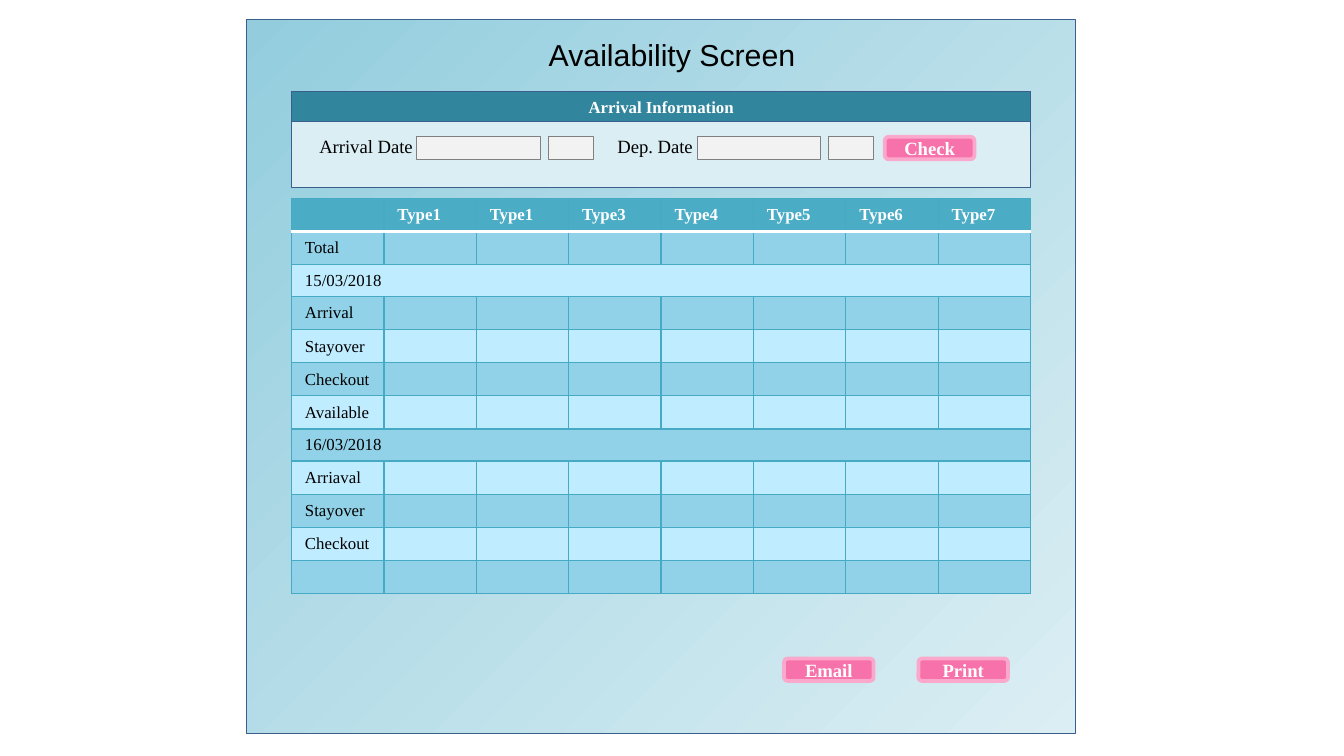
from dataclasses import dataclass

from lxml.etree import SubElement
from pptx import Presentation
from pptx.dml.color import RGBColor
from pptx.enum.shapes import MSO_SHAPE as Shape
from pptx.enum.text import MSO_ANCHOR as Anchor, PP_ALIGN as Align
from pptx.oxml.ns import qn
from pptx.util import Pt


@dataclass(frozen=True)
class Theme:
    black: str = "000000"
    white: str = "FFFFFF"
    outline: str = "3A5F8C"
    panel_start: str = "93CDDD"
    panel_end: str = "DBEEF4"
    heading: str = "31859C"
    field: str = "F2F2F2"
    field_line: str = "808080"
    button: str = "F771AA"
    button_line: str = "FAA8CB"
    table_header: str = "4BACC6"
    table_line: str = "46AAC5"
    dark_row: str = "91D2E8"
    light_row: str = "BFECFF"
    title_font: str = "Arial"
    body_font: str = "Times New Roman"
    title_size: float = 16.2
    body_size: float = 10
    table_size: float = 9


theme = Theme()


def write(frame, text, size=theme.body_size, color=theme.black, bold=False,
          font=theme.body_font, align=Align.CENTER, anchor=Anchor.MIDDLE,
          margins=(0, 0)):
    frame.word_wrap = True
    frame.vertical_anchor = anchor
    frame.margin_left = frame.margin_right = Pt(margins[0])
    frame.margin_top = frame.margin_bottom = Pt(margins[1])
    paragraph = frame.paragraphs[0]
    paragraph.alignment = align
    run = paragraph.add_run()
    run.text = text
    run.font.name = font
    run.font.size = Pt(size)
    run.font.bold = bold
    run.font.color.rgb = RGBColor.from_string(color)


def add_box(left, top, width, height, fill, line, line_width=0.5,
            kind=Shape.RECTANGLE):
    shape = slide.shapes.add_shape(kind, Pt(left), Pt(top), Pt(width), Pt(height))
    shape.shadow.inherit = False
    shape.fill.solid()
    shape.fill.fore_color.rgb = RGBColor.from_string(fill)
    shape.line.color.rgb = RGBColor.from_string(line)
    shape.line.width = Pt(line_width)
    return shape


presentation = Presentation()
presentation.slide_width = Pt(720)
presentation.slide_height = Pt(405)
slide = presentation.slides.add_slide(presentation.slide_layouts[5])

# Title
title = slide.shapes.title
title.left, title.top, title.width, title.height = Pt(36), Pt(16.8), Pt(648), Pt(24.5)
write(title.text_frame, "Availability Screen", size=theme.title_size,
      font=theme.title_font)

# Background panel, placed behind the title
panel = add_box(132, 10.6, 444, 382.4, theme.panel_start, theme.outline)
panel.fill.gradient()
panel.fill.gradient_angle = 315
for stop, color in zip(panel.fill.gradient_stops, (theme.panel_start, theme.panel_end)):
    stop.color.rgb = RGBColor.from_string(color)
title._element.addprevious(panel._element)

# Availability table
types = ["Type1", "Type1", "Type3", "Type4", "Type5", "Type6", "Type7"]
row_labels = ["Total", "15/03/2018", "Arrival", "Stayover", "Checkout", "Available",
              "16/03/2018", "Arriaval", "Stayover", "Checkout", ""]
rows = [[""] + types] + [[label] + [""] * len(types) for label in row_labels]
content_left, content_width, row_height = 156.2, 396, 17.23
table_frame = slide.shapes.add_table(
    len(rows), len(rows[0]), Pt(content_left), Pt(106.3),
    Pt(content_width), Pt(row_height * len(rows)))
table = table_frame.table
for column in table.columns:
    column.width = Pt(content_width / len(rows[0]))

for row_index, texts in enumerate(rows):
    table.rows[row_index].height = Pt(row_height)
    is_header = row_index == 0
    row_fill = (theme.table_header if is_header
                else theme.dark_row if row_index % 2 else theme.light_row)
    for column_index, text in enumerate(texts):
        cell = table.cell(row_index, column_index)
        cell.margin_top = cell.margin_bottom = Pt(3.4)
        cell.vertical_anchor = Anchor.MIDDLE
        properties = cell._tc.get_or_add_tcPr()
        for side in "LRTB":
            under_header = (side, row_index) in (("B", 0), ("T", 1))
            color, width = ((theme.white, 2) if under_header
                            else (theme.table_line, 0.75))
            border = SubElement(properties, qn(f"a:ln{side}"), w=str(Pt(width)))
            SubElement(SubElement(border, qn("a:solidFill")), qn("a:srgbClr"), val=color)
        cell.fill.solid()
        cell.fill.fore_color.rgb = RGBColor.from_string(row_fill)
        if text:
            write(cell.text_frame, text, size=theme.table_size, bold=is_header,
                  color=theme.white if is_header else theme.black,
                  align=Align.LEFT, margins=(7.2, 3.4))
        else:
            # Empty cells keep the row's type size
            paragraph = cell.text_frame.paragraphs[0]
            SubElement(paragraph._p, qn("a:endParaRPr"), sz=str(theme.table_size * 100))
    if "/" in texts[0]:
        table.cell(row_index, 0).merge(table.cell(row_index, len(types)))

# Arrival information box
add_box(content_left, 49.2, content_width, 51.2, theme.panel_end, theme.outline)
heading = add_box(content_left, 49.2, content_width, 16, theme.heading, theme.outline)
write(heading.text_frame, "Arrival Information", size=theme.table_size,
      color=theme.white, bold=True)

# Date labels, each with a wide and a narrow field
for label, label_left, field_left in [("Arrival Date", 156.2, 223.4),
                                      ("Dep. Date", 306.2, 373.6)]:
    for offset, width in [(0, 66), (70.2, 24.4)]:
        add_box(field_left + offset, 73.3, width, 12, theme.field, theme.field_line)
    label_box = slide.shapes.add_textbox(Pt(label_left), Pt(68.9), Pt(72), Pt(19.4))
    write(label_box.text_frame, label, align=Align.RIGHT, anchor=Anchor.TOP,
          margins=(7.2, 3.6))

# Buttons
for label, left, top in [("Check", 474, 73.3), ("Print", 492, 352.8),
                         ("Email", 420, 352.8)]:
    button = add_box(left, top, 48, 12, theme.button, theme.button_line,
                     line_width=2, kind=Shape.ROUNDED_RECTANGLE)
    write(button.text_frame, label, color=theme.white, bold=True)

presentation.save("out.pptx")
